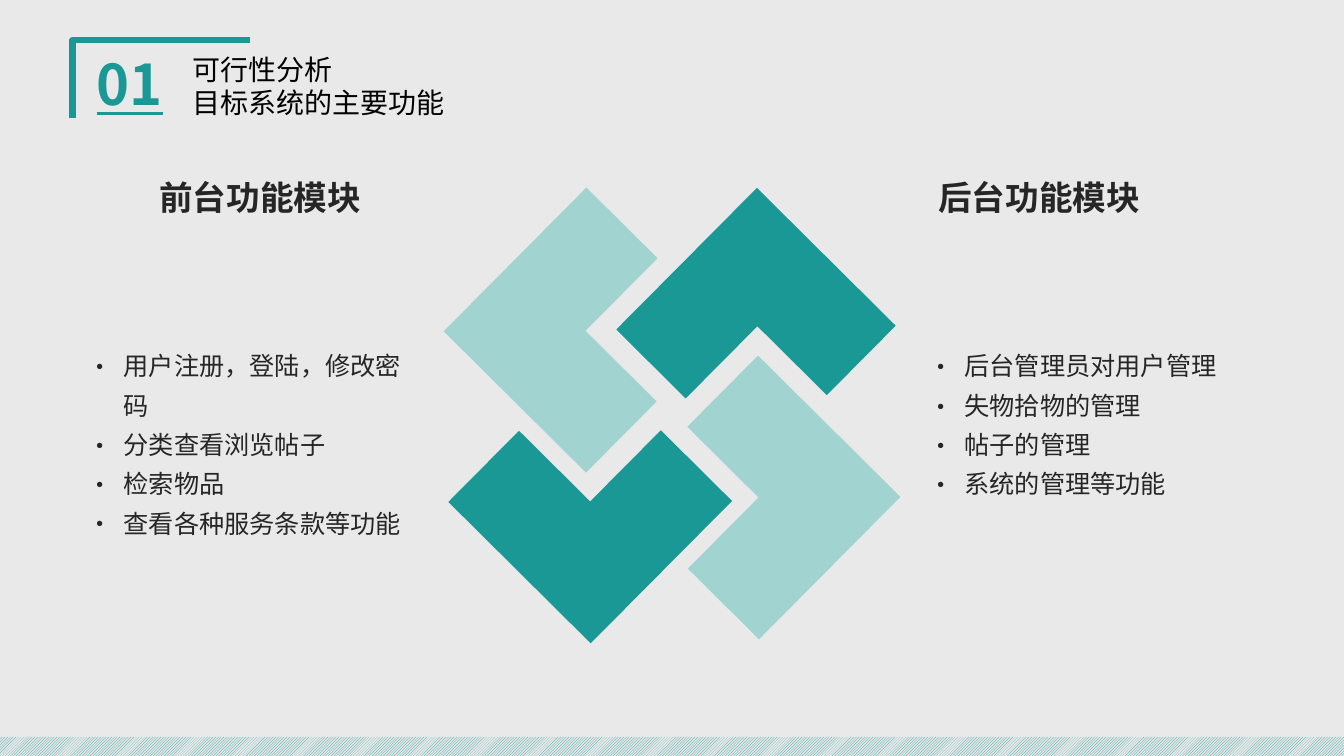
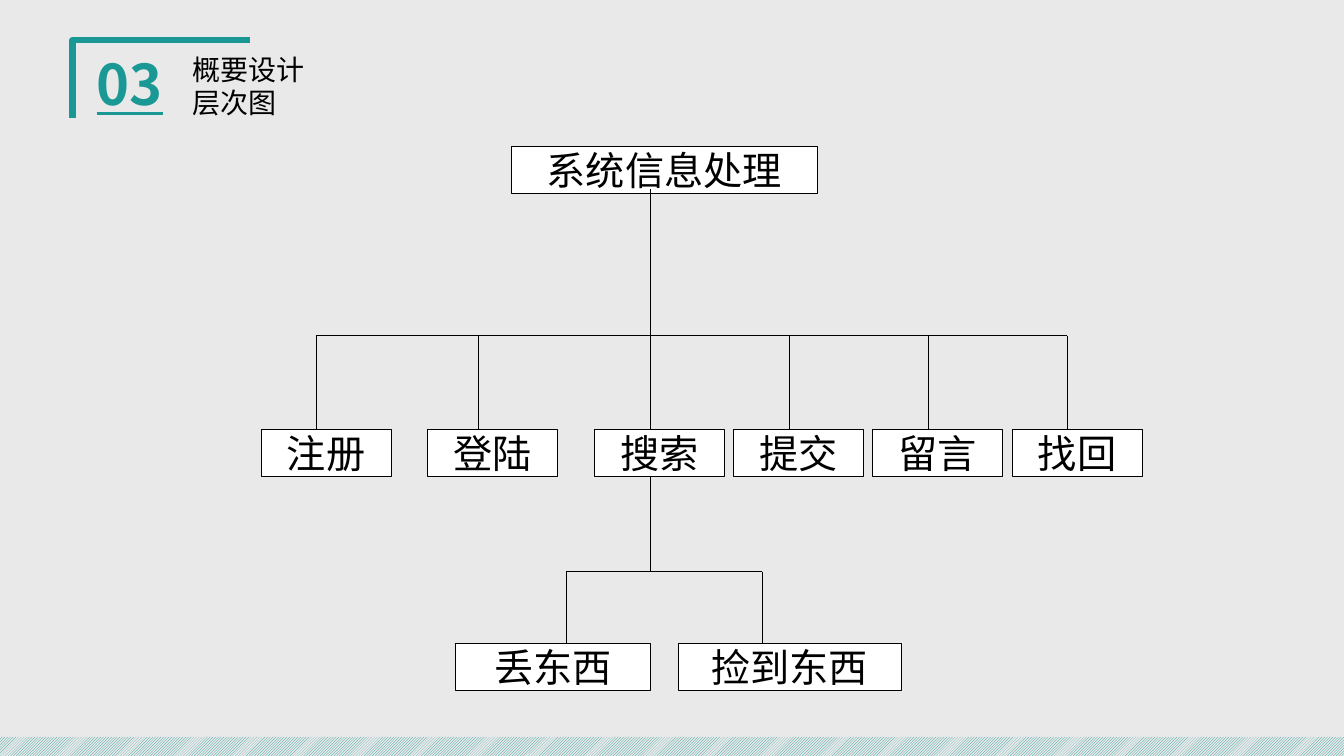
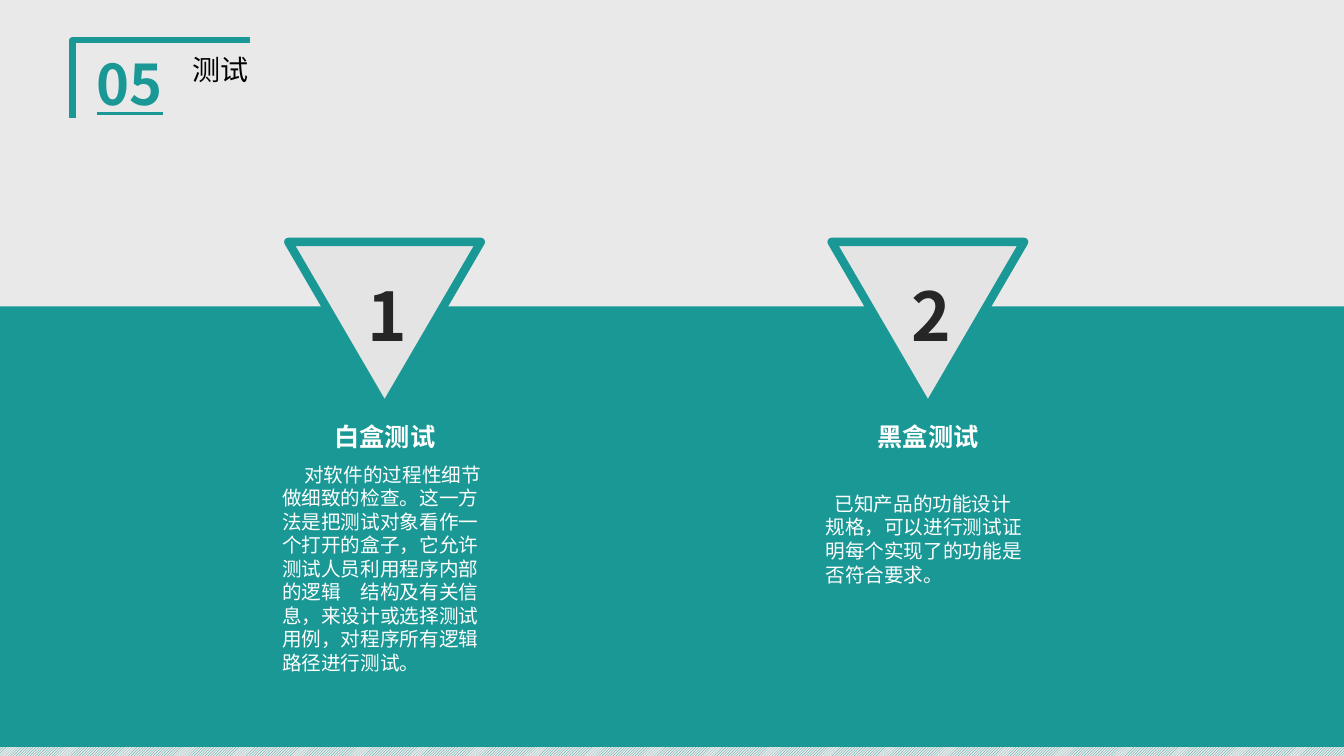
from lxml import etree
from pptx import Presentation
from pptx.dml.color import RGBColor
from pptx.enum.dml import MSO_PATTERN
from pptx.enum.shapes import MSO_CONNECTOR, MSO_SHAPE
from pptx.enum.text import MSO_ANCHOR, PP_ALIGN
from pptx.oxml.ns import qn
from pptx.util import Inches, Pt

TEAL = RGBColor(0x1A, 0x98, 0x95)
PALE = RGBColor(0xA1, 0xD3, 0xD0)
PAPER = RGBColor(0xE9, 0xE9, 0xE9)
MIST = RGBColor(0xE4, 0xE4, 0xE4)
INK = RGBColor(0x26, 0x26, 0x26)
BLACK = RGBColor(0, 0, 0)
WHITE = RGBColor(0xFF, 0xFF, 0xFF)

SANS = "Noto Sans CJK SC"
SERIF = "Times New Roman"

RECT = MSO_SHAPE.RECTANGLE
CORNER = MSO_SHAPE.CORNER
PEAK = MSO_SHAPE.ISOSCELES_TRIANGLE
LINE = MSO_CONNECTOR.STRAIGHT
HATCH = MSO_PATTERN.LIGHT_UPWARD_DIAGONAL
LEFT, MID = PP_ALIGN.LEFT, PP_ALIGN.CENTER
CENTER = MSO_ANCHOR.MIDDLE

# The grid has ten columns and ten rows to the inch
WIDE, HIGH = 133.33, 75


def cell(n):
    return Inches(n / 10)


def grid(*spans):
    return [cell(n) for n in spans]


# Basic parts
def style(frame, size, color, font=SANS, bold=False, under=False, align=LEFT):
    for para in frame.paragraphs:
        para.alignment = align
        for run in para.runs:
            face = run.font
            face.size, face.bold, face.underline = Pt(size), bold, under
            face.name, face.color.rgb = font, color
            east = etree.SubElement(run._r.get_or_add_rPr(), qn("a:ea"))
            east.set("typeface", SANS)


def label(slide, box, text, size, color, wrap=True, **look):
    frame = slide.shapes.add_textbox(*grid(*box)).text_frame
    frame.word_wrap = wrap
    frame.text = text
    style(frame, size, color, **look)
    return frame


def block(slide, kind, box, fill, edge=None, width=0.75, turn=0):
    shape = slide.shapes.add_shape(kind, *grid(*box))
    shape.shadow.inherit = False
    shape.rotation = turn
    shape.fill.solid()
    shape.fill.fore_color.rgb = fill
    if edge is None:
        shape.line.fill.background()
    else:
        shape.line.color.rgb = edge
        shape.line.width = Pt(width)
    return shape


def rule(slide, *ends):
    line = slide.shapes.add_connector(LINE, *grid(*ends))
    line.line.color.rgb = BLACK
    line.line.width = Pt(0.75)
    etree.SubElement(line._element.spPr, qn("a:effectLst"))


# Shared frame: bracket, hatched footer, number and title
def bracket(slide, left, top, wide, high):
    pen = slide.shapes.build_freeform(cell(left), cell(top + high))
    pen.add_line_segments(
        [grid(left, top), grid(left + wide, top)], close=False)
    shape = pen.convert_to_shape()
    shape.shadow.inherit = False
    shape.fill.background()
    shape.line.color.rgb = TEAL
    shape.line.width = Pt(4.5)


def start(deck):
    slide = deck.slides.add_slide(deck.slide_layouts[6])
    bracket(slide, 7.2, 4, 17.6, 7.7)
    foot = block(slide, RECT, (0, 73.1, WIDE, HIGH - 73.1), PAPER)
    foot.fill.patterned()
    foot.fill.pattern = HATCH
    foot.fill.fore_color.rgb = TEAL
    foot.fill.back_color.rgb = PAPER
    return slide


def head(slide, number, title):
    label(slide, (8.6, 4.4, 9.5, 7.7), number, 40, TEAL, bold=True, under=True)
    label(slide, (18.1, 4.7, 27.5, 7.7), title, 20, BLACK)


# Slide 1: two lists around a pinwheel
def points(slide, box, lines):
    frame = label(slide, box, "\n".join(lines), 18, INK)
    for para in frame.paragraphs:
        para.line_spacing = 1.3
        props = para._p.get_or_add_pPr()
        props.set("marL", str(Inches(0.36)))
        props.set("indent", str(Inches(-0.36)))
        etree.SubElement(props, qn("a:buFont")).set("typeface", SANS)
        etree.SubElement(props, qn("a:buChar")).set("char", "·")


def wheel(slide, left, top):
    arms = [(0, 0, 19.9, 20.1), (16.9, 0.1, 19.8, 19.4),
            (17.1, 16.7, 19.9, 19.9), (0.4, 17.1, 19.9, 19.9)]
    for i, (x, y, wide, high) in enumerate(arms):
        block(slide, CORNER, (left + x, top + y, wide, high),
              TEAL if i % 2 else PALE, turn=44.8 + 90 * i)


def modules(slide):
    head(slide, "01", "可行性分析\n目标系统的主要功能")
    wheel(slide, 48.2, 22.7)
    sides = [
        (14.8, "前台功能模块", 7.7,
         ["用户注册，登陆，修改密码", "分类查看浏览帖子", "检索物品",
          "查看各种服务条款等功能"]),
        (92.1, "后台功能模块", 91.1,
         ["后台管理员对用户管理", "失物拾物的管理", "帖子的管理",
          "系统的管理等功能"]),
    ]
    for x, name, left, lines in sides:
        label(slide, (x, 17.1, 22, 5), name, 24, INK, wrap=False,
              bold=True, align=MID)
        points(slide, (left, 33.4, 34.4, 16.7), lines)


# Slide 2: hierarchy chart
def node(slide, left, top, wide, text):
    shape = block(slide, RECT, (left, top, wide, 4.7), WHITE, BLACK)
    frame = shape.text_frame
    frame.margin_left = frame.margin_right = 0
    frame.margin_top = frame.margin_bottom = 0
    frame.vertical_anchor = CENTER
    frame.text = text
    style(frame, 28, BLACK, font=SERIF, align=MID)


def level(slide, stem, base, bus, top, nodes):
    """Draws a stem, a bus line and nodes of (text, left, width, drop)."""
    rule(slide, stem, base, stem, bus)
    rule(slide, nodes[0][3], bus, nodes[-1][3], bus)
    for text, left, wide, drop in nodes:
        rule(slide, drop, bus, drop, top)
        node(slide, left, top, wide, text)


def tree(slide):
    head(slide, "03", "概要设计\n层次图")
    node(slide, 50.7, 14.5, 30.4, "系统信息处理")
    tasks = [("注册", 25.9, 31.4), ("登陆", 42.4, 47.5), ("搜索", 59, 64.5),
             ("提交", 72.8, 78.3), ("留言", 86.6, 92.1), ("找回", 100.4, 105.9)]
    level(slide, 64.5, 18.8, 33.3, 42.6,
          [(text, left, 12.9, drop) for text, left, drop in tasks])
    level(slide, 64.5, 47.2, 56.7, 63.8,
          [("丢东西", 45.2, 19.3, 56.2), ("捡到东西", 67.3, 22.1, 75.6)])


# Slide 3: two test methods on a band
def method(slide, left, top, number, name, text, gap, indent, font):
    block(slide, PEAK, (left, top, 19.1, 16.4), MIST, TEAL, 6, 180)
    label(slide, (left + 6.9, top + 2.7, 6.2, 9.1), number, 48, INK,
          wrap=False, bold=True)
    label(slide, (left + 3.6, top + 17.3, 12, 4), name, 18, WHITE,
          wrap=False, bold=True)
    frame = label(slide, (left - 1.6, top + gap, 22.3, 22.2), text, 14, WHITE,
                  font=font)
    props = frame.paragraphs[0]._p.get_or_add_pPr()
    props.set("indent", str(cell(indent)))


def testing(slide):
    block(slide, RECT, (0, 30.4, WIDE, 43.7), TEAL)
    head(slide, "05", "测试")
    method(slide, 28.6, 24, "1", "白盒测试",
           "对软件的过程性细节做细致的检查。这一方法是把测试对象看作一个打开的"
           "盒子，它允许测试人员利用程序内部的逻辑　结构及有关信息，来设计或选择"
           "测试用例，对程序所有逻辑路径进行测试。", 21.4, 2.2, SERIF)
    method(slide, 82.5, 24, "2", "黑盒测试",
           "已知产品的功能设计规格，可以进行测试证明每个实现了的功能是否符合"
           "要求。", 24.3, 0.9, SANS)


def main():
    deck = Presentation()
    deck.slide_width, deck.slide_height = grid(WIDE, HIGH)
    back = deck.slide_master.background.fill
    back.solid()
    back.fore_color.rgb = PAPER
    for build in (modules, tree, testing):
        build(start(deck))
    deck.save("out.pptx")


if __name__ == "__main__":
    main()
